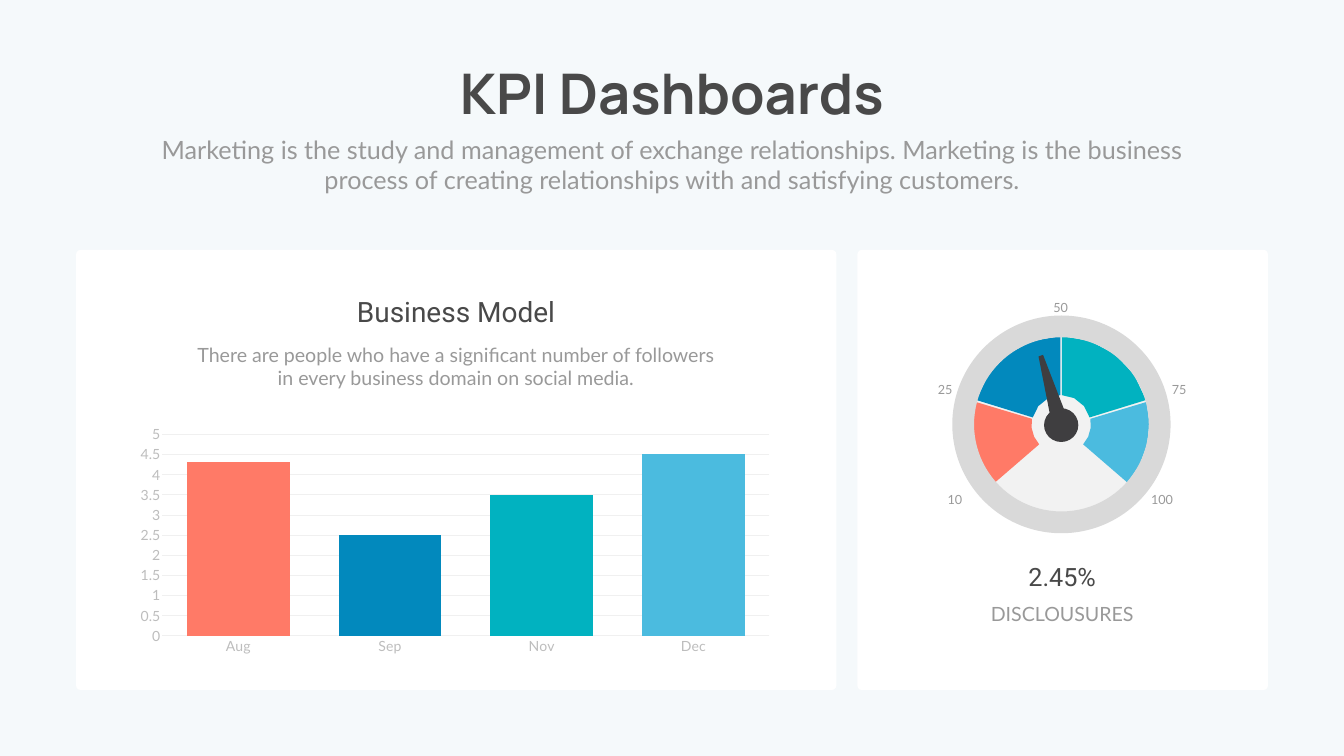
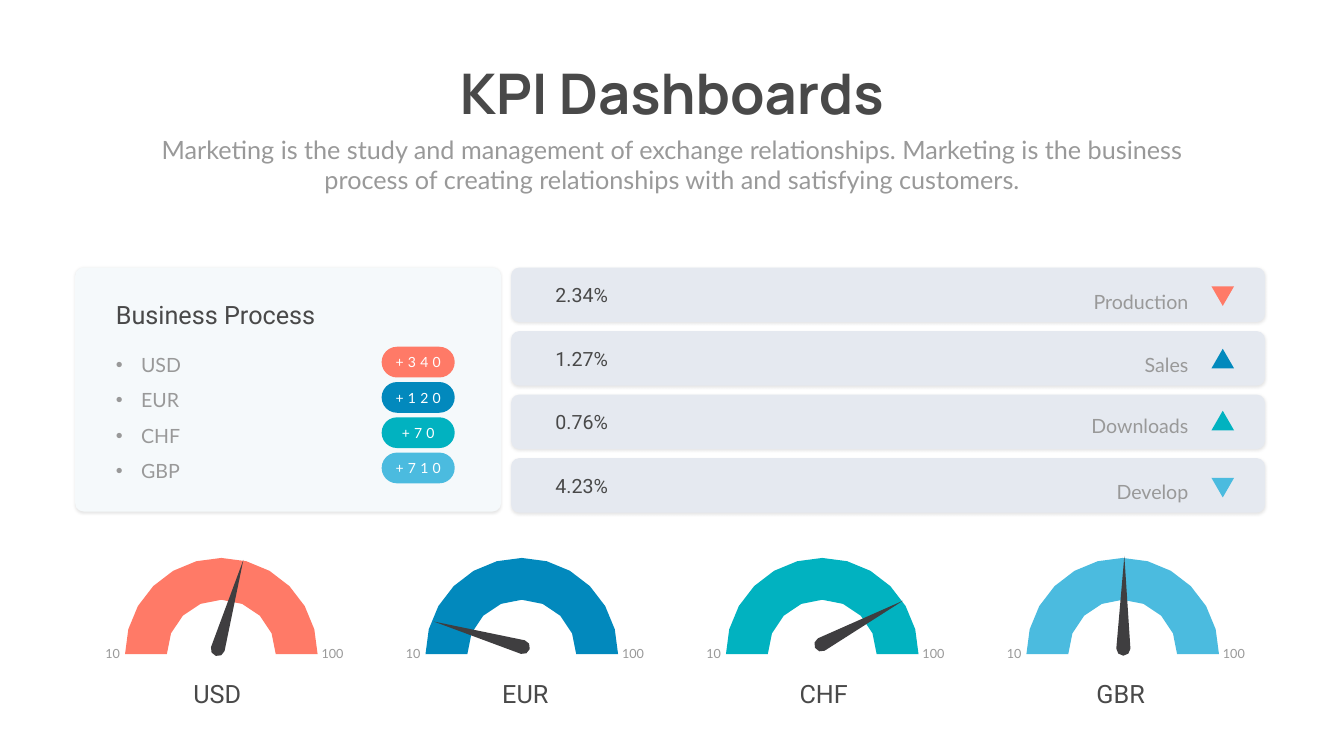
"""Build two KPI dashboard slides with a bar chart, cards and dial gauges."""
import math
from dataclasses import dataclass
from typing import NamedTuple

import pptx
import pptx.chart.data
import pptx.dml.color
import pptx.enum.chart
import pptx.enum.shapes
import pptx.enum.text
import pptx.oxml.ns
import pptx.shapes.autoshape
import pptx.slide
import pptx.text.text
import pptx.util
from lxml import etree

PX = 9144
CORAL, BLUE, TEAL, SKY = PALETTE = ("FF7A67", "0289BD", "01B2C0", "4BBBDF")
WHITE, PALE, CARD, DISC, RING = "FFFFFF", "F5F9FB", "E5E9F0", "F2F2F2", "D9D9D9"
DARK, GREY, NEEDLE = "494949", "999999", "3F3E40"
AXIS_TEXT, AXIS_LINE = "BDBDBD", "F0F0F0"

MSO = pptx.enum.shapes.MSO_SHAPE
ALIGN = pptx.enum.text.PP_ALIGN
qn = pptx.oxml.ns.qn


class Box(NamedTuple):
    x: int
    y: int
    w: int
    h: int


class Point(NamedTuple):
    x: float
    y: float


class Arc(NamedTuple):
    radius: int
    start: float
    end: float
    steps: int


@dataclass(frozen=True)
class Style:
    font: str
    size: int
    color: str
    align: ALIGN = ALIGN.CENTER
    spacing: float | pptx.util.Length | None = None
    bold: bool = False


@dataclass(frozen=True)
class Sector:
    color: str
    outer: Arc
    inner: Arc


@dataclass(frozen=True)
class Kpi:
    value: str
    label: str
    rising: bool
    marker_y: int
    label_y: int


@dataclass(frozen=True)
class Gauge:
    name: str
    needle: Point
    rotation: float
    caption_x: int


TICK_SPACING = pptx.util.Pt(40.8)
TITLE = Style("Manrope", 80, DARK, bold=True)
SUBTITLE = Style("Lato", 36, GREY)
PANEL_TITLE = Style("Roboto", 40, DARK)
PANEL_TEXT = Style("Lato", 28, GREY)
FIGURE = Style("Roboto", 36, DARK)
CAPTION = Style("Lato", 28, GREY, spacing=TICK_SPACING)
TICK = Style("Lato", 18, GREY, spacing=TICK_SPACING)
TICK_LOW = Style("Lato", 18, GREY, ALIGN.RIGHT, TICK_SPACING)
TICK_HIGH = Style("Lato", 18, GREY, ALIGN.LEFT, TICK_SPACING)
LIST_TITLE = Style("Roboto", 36, DARK, ALIGN.LEFT)
LIST_ITEM = Style("Lato", 28, GREY, ALIGN.LEFT, 1.5)
BADGE = Style("Lato", 20, WHITE)
KPI_VALUE = Style("Roboto", 28, DARK, ALIGN.LEFT)
KPI_LABEL = Style("Lato", 28, GREY, ALIGN.RIGHT, 1.5)

DIAL_SECTORS = (
    Sector(TEAL, Arc(175, 0.5, 74, 4), Arc(58, 1.5, 76.3, 3)),
    Sector(SKY, Arc(175, 75.3, 131.3, 4), Arc(59, 79.3, 132.3, 3)),
    Sector(BLUE, Arc(175, -74, -0.5, 4), Arc(58, -76.3, -1.5, 3)),
    Sector(CORAL, Arc(175, -131.3, -75.3, 4), Arc(59, -132.3, -79.3, 3)),
)
DIAL_TICKS = (("10", 1859, 945), ("100", 2270, 945), ("75", 2304, 726),
              ("25", 1840, 726), ("50", 2069, 564))
CURRENCIES = (("USD", "+340"), ("EUR", "+120"), ("CHF", "+70"), ("GBP", "+710"))
KPIS = (
    Kpi("2.34%", "Production", False, 568, 546),
    Kpi("1.27%", "Sales", True, 692, 671),
    Kpi("0.76%", "Downloads", True, 815, 793),
    Kpi("4.23%", "Develop", False, 948, 924),
)
GAUGES = (
    Gauge("USD", Point(419, 1112), 0, 217),
    Gauge("EUR", Point(924, 1171), 270, 828),
    Gauge("CHF", Point(1669, 1141), 45.8, 1420),
    Gauge("GBR", Point(2193, 1109), 344.6, 2009),
)


def rgb(color: str) -> pptx.dml.color.RGBColor:
    return pptx.dml.color.RGBColor.from_string(color)


def emu(box: Box) -> tuple[int, ...]:
    return tuple(v * PX for v in box)


def polar(center: Point, radius: float, angle: float) -> Point:
    a = math.radians(angle)
    return Point(center.x + radius * math.sin(a), center.y - radius * math.cos(a))


def trace(center: Point, arc: Arc) -> list[Point]:
    step = (arc.end - arc.start) / arc.steps
    return [polar(center, arc.radius, arc.start + step * i) for i in range(arc.steps + 1)]


def paint(sp: pptx.shapes.autoshape.Shape, color: str) -> None:
    sp.shadow.inherit = False
    sp.fill.solid()
    sp.fill.fore_color.rgb = rgb(color)
    sp.line.fill.background()


def add_shape(s: pptx.slide.Slide, kind: MSO, box: Box, color: str,
              adj: float | None = None) -> pptx.shapes.autoshape.Shape:
    sp = s.shapes.add_shape(kind, *emu(box))
    paint(sp, color)
    if adj is not None:
        sp.adjustments[0] = adj
    return sp


def add_shadow(sp: pptx.shapes.autoshape.Shape) -> None:
    effects = sp._element.spPr.find(qn("a:effectLst"))
    shadow = etree.SubElement(effects, qn("a:outerShdw"), blurRad="50800", dist="12700",
                              dir="5400000", algn="t", rotWithShape="0")
    color = etree.SubElement(shadow, qn("a:srgbClr"), val="000104")
    etree.SubElement(color, qn("a:alpha"), val="10000")


def add_outline(s: pptx.slide.Slide, points: list[Point],
                color: str) -> pptx.shapes.autoshape.Shape:
    first, *rest = [(round(p.x * PX), round(p.y * PX)) for p in points]
    fb = s.shapes.build_freeform(*first)
    fb.add_line_segments(rest, close=True)
    sp = fb.convert_to_shape()
    paint(sp, color)
    return sp


def add_sector(s: pptx.slide.Slide, center: Point, sector: Sector) -> None:
    points = trace(center, sector.outer) + trace(center, sector.inner)[::-1]
    add_outline(s, points, sector.color)


def format_paragraph(p: pptx.text.text._Paragraph, style: Style) -> None:
    p.alignment = style.align
    if style.spacing is not None:
        p.line_spacing = style.spacing
    for r in p.runs:
        r.font.name = style.font
        r.font.size = pptx.util.Pt(style.size)
        r.font.bold = style.bold
        r.font.color.rgb = rgb(style.color)


def write(sp: pptx.shapes.autoshape.Shape, text: str, style: Style, wrap: bool = True) -> None:
    tf = sp.text_frame
    tf.text = text
    tf.word_wrap = wrap
    for p in tf.paragraphs:
        format_paragraph(p, style)


def add_text(s: pptx.slide.Slide, box: Box, text: str,
             style: Style) -> pptx.shapes.autoshape.Shape:
    sp = s.shapes.add_textbox(*emu(box))
    write(sp, text, style)
    return sp


def add_slide(prs: pptx.Presentation) -> pptx.slide.Slide:
    s = prs.slides.add_slide(prs.slide_layouts[5])
    title = s.shapes.title
    title.left, title.top, title.width, title.height = emu(Box(867, 112, 932, 145))
    write(title, "KPI Dashboards", TITLE, wrap=False)
    title.text_frame.auto_size = pptx.enum.text.MSO_AUTO_SIZE.NONE
    title.text_frame.vertical_anchor = pptx.enum.text.MSO_ANCHOR.TOP
    add_text(s, Box(292, 261, 2082, 131),
             "Marketing is the study and management of exchange relationships. Marketing is "
             "the business process of creating relationships with and satisfying customers.",
             SUBTITLE)
    return s


def add_bar_chart(s: pptx.slide.Slide, box: Box) -> None:
    data = pptx.chart.data.CategoryChartData()
    data.categories = ("Aug", "Sep", "Nov", "Dec")
    data.add_series("Series 1", (4.3, 2.5, 3.5, 4.5))
    chart = s.shapes.add_chart(pptx.enum.chart.XL_CHART_TYPE.COLUMN_CLUSTERED,
                               *emu(box), data).chart
    chart.has_title = chart.has_legend = False
    chart.font.name, chart.font.size = "Lato", pptx.util.Pt(20)
    chart.font.color.rgb = rgb(GREY)
    plot = chart.plots[0]
    plot.vary_by_categories = False
    plot.gap_width, plot.overlap = 48, -27
    series = plot.series[0]
    series.format.fill.solid()
    series.format.fill.fore_color.rgb = rgb(CORAL)
    for i, color in enumerate(PALETTE[1:], 1):
        fill = series.points[i].format.fill
        fill.solid()
        fill.fore_color.rgb = rgb(color)
    values = chart.value_axis
    for axis in (chart.category_axis, values):
        axis.major_tick_mark = axis.minor_tick_mark = pptx.enum.chart.XL_TICK_MARK.NONE
        font = axis.tick_labels.font
        font.name, font.size = "Lato", pptx.util.Pt(20)
        font.color.rgb = rgb(AXIS_TEXT)
    values.format.line.fill.background()
    for line in (chart.category_axis.format.line, values.major_gridlines.format.line):
        line.color.rgb = rgb(AXIS_LINE)
        line.width = pptx.util.Pt(0.75)


def add_dial(s: pptx.slide.Slide) -> None:
    add_shape(s, MSO.OVAL, Box(1930, 667, 349, 349), DISC)
    for sector in DIAL_SECTORS:
        add_sector(s, Point(2105, 842), sector)
    add_shape(s, MSO.DONUT, Box(1889, 626, 433, 432), RING, 0.1)
    add_outline(s, [Point(2060, 707), Point(2088, 849), Point(2121, 839), Point(2069, 704)], NEEDLE)
    add_shape(s, MSO.OVAL, Box(2071, 810, 68, 67), NEEDLE)
    for label, x, y in DIAL_TICKS:
        add_text(s, Box(x, y, 70, 59), label, TICK)


def add_currency_card(s: pptx.slide.Slide) -> None:
    add_shadow(add_shape(s, MSO.ROUNDED_RECTANGLE, Box(149, 531, 845, 484), PALE, 0.035))
    add_text(s, Box(220, 589, 560, 71), "Business Process", LIST_TITLE)
    names = add_text(s, Box(220, 672, 413, 284), "\n".join(n for n, _ in CURRENCIES), LIST_ITEM)
    for p in names.text_frame.paragraphs:
        pPr = p._p.get_or_add_pPr()
        pPr.set("marL", str(50 * PX))
        pPr.set("indent", str(-50 * PX))
        etree.SubElement(pPr, qn("a:buFont"), typeface="Arial")
        etree.SubElement(pPr, qn("a:buChar"), char="•")
    for i, ((_, change), color) in enumerate(zip(CURRENCIES, PALETTE)):
        sp = add_shape(s, MSO.ROUNDED_RECTANGLE, Box(757, 688 + 70 * i, 145, 61), color, 0.5)
        write(sp, change, BADGE, wrap=False)
        sp.text_frame.paragraphs[0].runs[0]._r.get_or_add_rPr().set("spc", "600")


def add_kpi_card(s: pptx.slide.Slide, y: int, kpi: Kpi, color: str) -> None:
    add_shadow(add_shape(s, MSO.ROUNDED_RECTANGLE, Box(1014, y, 1495, 108), CARD, 0.146))
    add_text(s, Box(1092, y + 26, 489, 57), kpi.value, KPI_VALUE)
    marker = add_shape(s, MSO.ISOSCELES_TRIANGLE, Box(2403, kpi.marker_y, 45, 39), color)
    marker.rotation = 0 if kpi.rising else 180
    add_text(s, Box(1954, kpi.label_y, 413, 71), kpi.label, KPI_LABEL)


def add_gauge(s: pptx.slide.Slide, left: int, gauge: Gauge, color: str) -> None:
    add_sector(s, Point(left + 191, 1298),
               Sector(color, Arc(191, -90, 90, 12), Arc(108, -90, 90, 8)))
    hub = Point(gauge.needle.x + 13, gauge.needle.y + 176)
    needle = add_outline(s, [polar(hub, 184, 16)] + trace(hub, Arc(14, 106, 286, 4)), NEEDLE)
    needle.rotation = gauge.rotation
    add_text(s, Box(left - 70, 1250, 70, 59), "10", TICK_LOW)
    add_text(s, Box(left + 380, 1250, 90, 59), "100", TICK_HIGH)
    add_text(s, Box(gauge.caption_x, 1340, 428, 71), gauge.name, FIGURE)


def build_model_slide(prs: pptx.Presentation) -> None:
    s = add_slide(prs)
    backdrop = add_shape(s, MSO.ROUNDED_RECTANGLE, Box(0, 0, 2666, 1500), PALE, 0)
    s.shapes.title._element.addprevious(backdrop._element)
    for x, width in ((151, 1508), (1701, 814)):
        add_shape(s, MSO.ROUNDED_RECTANGLE, Box(x, 496, width, 873), WHITE, 0.01)
    add_bar_chart(s, Box(253, 835, 1299, 474))
    add_text(s, Box(376, 675, 1056, 104), "There are people who have a significant number of "
             "followers in every business domain on social media.", PANEL_TEXT)
    add_text(s, Box(541, 579, 727, 77), "Business Model", PANEL_TITLE)
    add_dial(s)
    add_text(s, Box(2005, 1108, 204, 71), "2.45%", FIGURE)
    add_text(s, Box(1889, 1180, 436, 62), "DISCLOUSURES", CAPTION)


def build_process_slide(prs: pptx.Presentation) -> None:
    s = add_slide(prs)
    add_currency_card(s)
    for i, (kpi, gauge, color) in enumerate(zip(KPIS, GAUGES, PALETTE)):
        add_kpi_card(s, 531 + 126 * i, kpi, color)
        add_gauge(s, 248 + 596 * i, gauge, color)


def main() -> None:
    prs = pptx.Presentation()
    prs.slide_width, prs.slide_height = 2666 * PX, 1500 * PX
    build_model_slide(prs)
    build_process_slide(prs)
    prs.save("out.pptx")


if __name__ == "__main__":
    main()
